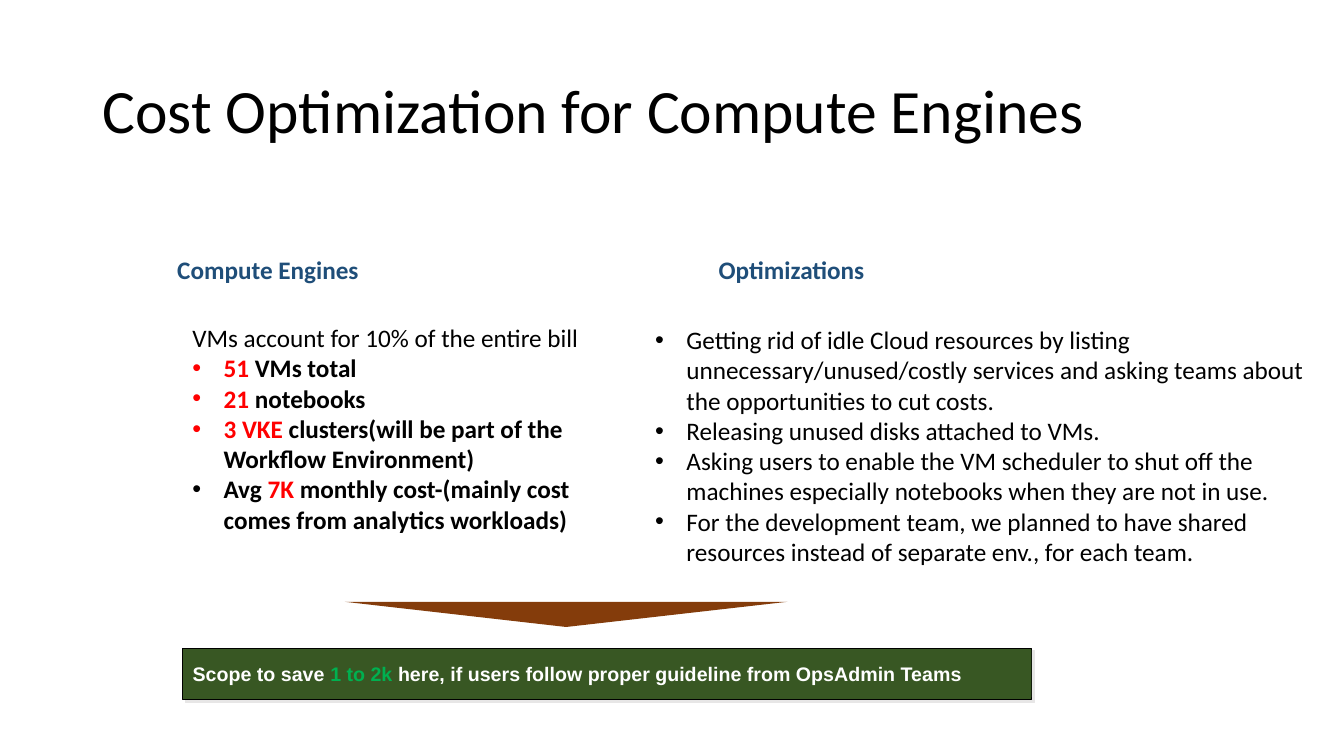
from dataclasses import dataclass

from lxml import etree
from pptx import Presentation
from pptx.dml.color import RGBColor
from pptx.enum.shapes import MSO_SHAPE
from pptx.enum.text import MSO_ANCHOR, PP_ALIGN
from pptx.oxml import parse_xml
from pptx.oxml.ns import nsdecls, qn
from pptx.util import Pt

PX = 9144
INDENT = 31
BLACK = RGBColor(0x00, 0x00, 0x00)
WHITE = RGBColor(0xFF, 0xFF, 0xFF)
NAVY = RGBColor(0x1F, 0x4E, 0x79)
RED = RGBColor(0xFF, 0x00, 0x00)
BROWN = RGBColor(0x84, 0x3C, 0x0B)
FOREST = RGBColor(0x38, 0x57, 0x23)
GREEN = RGBColor(0x00, 0xB0, 0x50)
SHADOW = RGBColor(0xE7, 0xE6, 0xE6)
TOP, MIDDLE = MSO_ANCHOR.TOP, MSO_ANCHOR.MIDDLE
LEFT = PP_ALIGN.LEFT
RECTANGLE, TRIANGLE = MSO_SHAPE.RECTANGLE, MSO_SHAPE.ISOSCELES_TRIANGLE


@dataclass(frozen=True)
class Box:
    x: int
    y: int
    w: int
    h: int

    def emu(self) -> tuple[int, ...]:
        return tuple(v * PX for v in (self.x, self.y, self.w, self.h))


@dataclass(frozen=True)
class Run:
    text: str
    color: RGBColor = BLACK
    bold: bool = False


@dataclass(frozen=True)
class Para:
    runs: tuple[Run, ...]
    bullet: bool = False
    spacing: float = 1.0


@dataclass(frozen=True)
class TextBlock:
    box: Box
    paras: tuple[Para, ...]
    size: int = 18
    anchor: MSO_ANCHOR = TOP


def heading(text: str) -> tuple[Para, ...]:
    return (Para((Run(text, NAVY, True),)),)


def fact(*parts: tuple[str, RGBColor]) -> Para:
    return Para(tuple(Run(text, color, True) for text, color in parts), True)


def advice(text: str) -> Para:
    return Para((Run(text),), True)


BLOCKS = (
    TextBlock(
        Box(92, 40, 1150, 145),
        (Para((Run("Cost Optimization for Compute Engines"),), spacing=0.9),),
        44,
        MIDDLE,
    ),
    TextBlock(Box(703, 247, 390, 40), heading("Optimizations")),
    TextBlock(Box(166, 247, 474, 40), heading("Compute Engines")),
    TextBlock(
        Box(181, 315, 437, 222),
        (
            Para((Run("VMs account for 10% of the entire bill"),)),
            fact(("51", RED), (" VMs total", BLACK)),
            fact(("21", RED), (" notebooks", BLACK)),
            fact(
                ("3 VKE ", RED),
                ("clusters(will be part of the Workflow Environment)", BLACK),
            ),
            fact(
                ("Avg ", BLACK),
                ("7K", RED),
                (" monthly cost-(mainly cost comes from analytics workloads)", BLACK),
            ),
        ),
    ),
    TextBlock(
        Box(640, 317, 679, 283),
        (
            advice(
                "Getting rid of idle Cloud resources by listing "
                "unnecessary/unused/costly services and asking teams about "
                "the opportunities to cut costs."
            ),
            advice("Releasing unused disks attached to VMs."),
            advice(
                "Asking users to enable the VM scheduler to shut off the "
                "machines especially notebooks when they are not in use."
            ),
            advice(
                "For the development team, we planned to have shared "
                "resources instead of separate env., for each team."
            ),
        ),
    ),
)

SAVING = (
    Para(
        (
            Run("Scope to save ", WHITE, True),
            Run("1 to 2k ", GREEN, True),
            Run("here, if users follow proper guideline from OpsAdmin Teams", WHITE, True),
        )
    ),
)


def add_bullet(p) -> None:
    pPr = p._p.get_or_add_pPr()
    pPr.set("marL", str(INDENT * PX))
    pPr.set("indent", str(-INDENT * PX))
    pPr.append(parse_xml(f'<a:buFont {nsdecls("a")} typeface="Arial"/>'))
    pPr.append(parse_xml(f'<a:buChar {nsdecls("a")} char="•"/>'))


def write(tf, paras: tuple[Para, ...], size: int, font: str, anchor: MSO_ANCHOR) -> None:
    tf.word_wrap = True
    tf.vertical_anchor = anchor
    for i, para in enumerate(paras):
        p = tf.paragraphs[0] if i == 0 else tf.add_paragraph()
        p.alignment = LEFT
        p.line_spacing = para.spacing
        if para.bullet:
            add_bullet(p)
        for run in para.runs:
            r = p.add_run()
            r.text = run.text
            style = {"name": font, "size": Pt(size), "bold": run.bold}
            for name, value in style.items():
                setattr(r.font, name, value)
            r.font.color.rgb = run.color


def add_solid(slide, kind: MSO_SHAPE, box: Box, color: RGBColor):
    sp = slide.shapes.add_shape(kind, *box.emu())
    sp.shadow.inherit = False
    sp.fill.solid()
    sp.fill.fore_color.rgb = color
    sp.line.fill.background()
    return sp


def add_shadow(sp, color: RGBColor) -> None:
    effects = sp._element.spPr.find(qn("a:effectLst"))
    shadow = etree.SubElement(
        effects, qn("a:outerShdw"), dist=str(Pt(2.8)), dir="2700000", algn="ctr"
    )
    etree.SubElement(shadow, qn("a:srgbClr"), val=str(color))


def main() -> None:
    prs = Presentation()
    prs.slide_width, prs.slide_height = 1333 * PX, 750 * PX
    slide = prs.slides.add_slide(prs.slide_layouts[6])

    for block in BLOCKS:
        tb = slide.shapes.add_textbox(*block.box.emu())
        write(tb.text_frame, block.paras, block.size, "Calibri", block.anchor)

    arrow = add_solid(slide, TRIANGLE, Box(342, 597, 439, 25), BROWN)
    arrow.rotation = 180

    band = add_solid(slide, RECTANGLE, Box(181, 643, 842, 51), FOREST)
    band.line.color.rgb = BLACK
    band.line.width = Pt(0.75)
    add_shadow(band, SHADOW)

    label = add_solid(slide, RECTANGLE, Box(191, 645, 832, 47), FOREST)
    tf = label.text_frame
    for side in ("left", "top", "right", "bottom"):
        setattr(tf, f"margin_{side}", 0)
    write(tf, SAVING, 14, "Arial", MIDDLE)

    prs.save("out.pptx")


if __name__ == "__main__":
    main()
